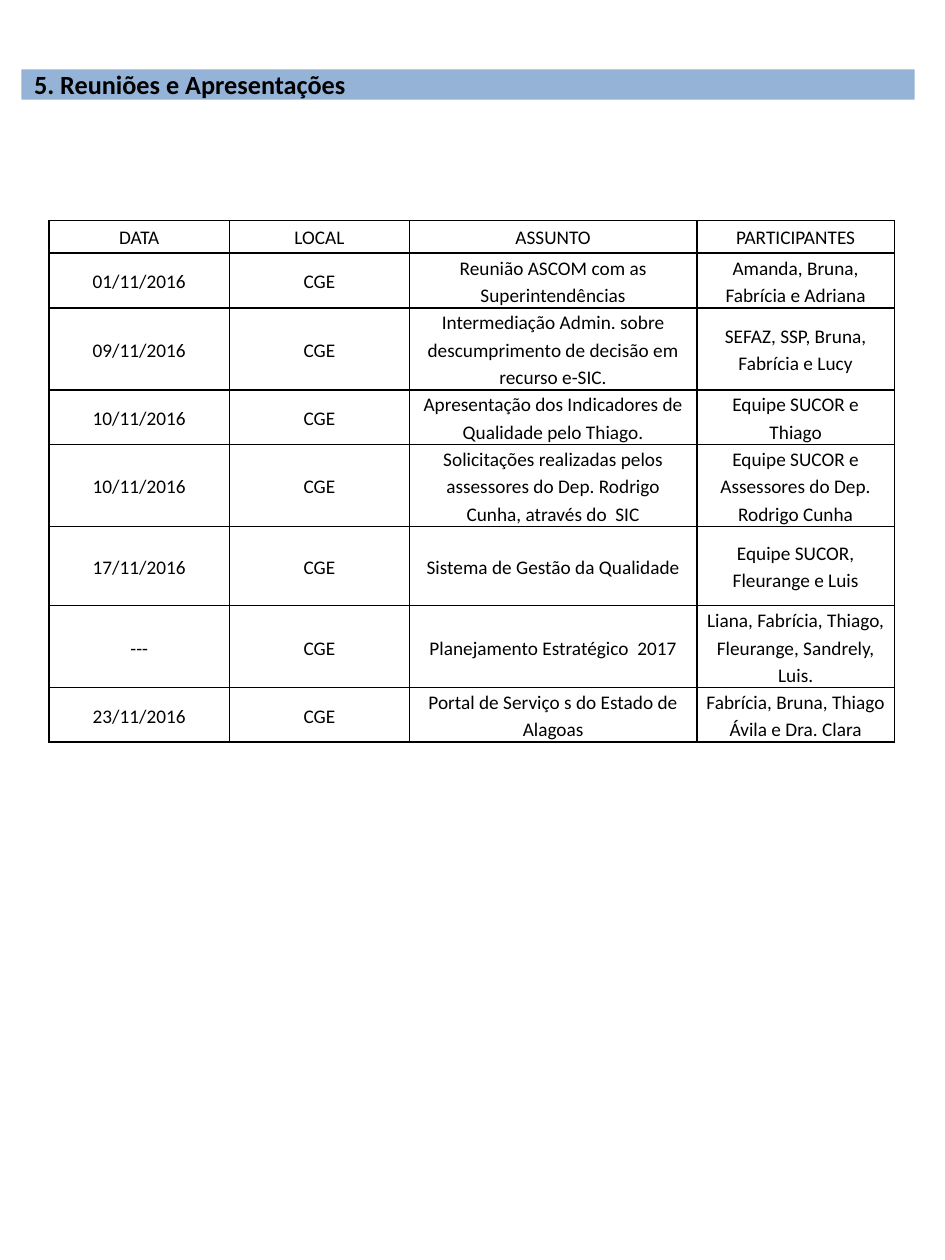
from typing import NamedTuple

import pptx
import pptx.dml.color
import pptx.enum.text
import pptx.oxml
import pptx.oxml.ns
import pptx.util
from pptx.util import Inches

FONT = "Calibri"
BLACK = "000000"
BAND_BLUE = "95B3D7"


class Meeting(NamedTuple):
    date: str
    place: str
    subject: str
    people: str
    height: float


class CellStyle(NamedTuple):
    side: float
    top: float
    line_spacing: float
    space_after: float


HEADER = CellStyle(0.04, 0.01, 1.07, 8)
BODY = CellStyle(0.07, 0, 1.15, 10)
COL_WIDTHS = [1.43, 1.43, 2.28, 1.57]

MEETINGS = [
    Meeting("DATA", "LOCAL", "ASSUNTO", "PARTICIPANTES", 0.26),
    Meeting("01/11/2016", "CGE", "Reunião ASCOM com as Superintendências",
            "Amanda, Bruna, Fabrícia e Adriana", 0.43),
    Meeting("09/11/2016", "CGE",
            "Intermediação Admin. sobre descumprimento de decisão em recurso e-SIC.",
            "SEFAZ, SSP, Bruna, Fabrícia e Lucy", 0.65),
    Meeting("10/11/2016", "CGE", "Apresentação dos Indicadores de Qualidade pelo Thiago.",
            "Equipe SUCOR e Thiago", 0.43),
    Meeting("10/11/2016", "CGE",
            "Solicitações realizadas pelos assessores do Dep. Rodrigo Cunha, através do  SIC",
            "Equipe SUCOR e Assessores do Dep. Rodrigo Cunha", 0.65),
    Meeting("17/11/2016", "CGE", "Sistema de Gestão da Qualidade",
            "Equipe SUCOR, Fleurange e Luis", 0.63),
    Meeting("---", "CGE", "Planejamento Estratégico  2017",
            "Liana, Fabrícia, Thiago, Fleurange, Sandrely, Luis.", 0.65),
    Meeting("23/11/2016", "CGE", "Portal de Serviço s do Estado de Alagoas",
            "Fabrícia, Bruna, Thiago Ávila e Dra. Clara", 0.43),
]


def rgb(color: str) -> pptx.dml.color.RGBColor:
    return pptx.dml.color.RGBColor.from_string(color)


def set_font(p, size: float, bold: bool = False) -> None:
    p.font.name = FONT
    p.font.size = pptx.util.Pt(size)
    p.font.bold = bold
    p.font.color.rgb = rgb(BLACK)


def add_borders(cell, color: str, points: float) -> None:
    tc_pr = cell._tc.get_or_add_tcPr()
    for side in "LRTB":
        tc_pr.append(pptx.oxml.parse_xml(
            f'<a:ln{side} {pptx.oxml.ns.nsdecls("a")} w="{pptx.util.Pt(points)}">'
            f'<a:solidFill><a:srgbClr val="{color}"/></a:solidFill></a:ln{side}>'))


def fill_cell(cell, text: str, style: CellStyle) -> None:
    add_borders(cell, BLACK, 1)
    cell.fill.background()
    cell.margin_left = cell.margin_right = Inches(style.side)
    cell.margin_top, cell.margin_bottom = Inches(style.top), 0
    cell.vertical_anchor = pptx.enum.text.MSO_ANCHOR.MIDDLE
    cell.text = text
    p = cell.text_frame.paragraphs[0]
    p.alignment = pptx.enum.text.PP_ALIGN.CENTER
    p.line_spacing = style.line_spacing
    p.space_after = pptx.util.Pt(style.space_after)
    set_font(p, 11)


def add_title(s, text: str) -> None:
    sp = s.shapes.title
    sp.left, sp.top = Inches(0.17), Inches(0.55)
    sp.width, sp.height = Inches(7.09), Inches(0.24)
    sp.fill.solid()
    sp.fill.fore_color.rgb = rgb(BAND_BLUE)
    tf = sp.text_frame
    tf.text = text
    tf.auto_size = pptx.enum.text.MSO_AUTO_SIZE.NONE
    tf.vertical_anchor = pptx.enum.text.MSO_ANCHOR.MIDDLE
    p = tf.paragraphs[0]
    p.alignment = pptx.enum.text.PP_ALIGN.LEFT
    set_font(p, 15, bold=True)


def add_meetings(s, meetings: list[Meeting]) -> None:
    table = s.shapes.add_table(
        len(meetings), len(COL_WIDTHS), Inches(0.39), Inches(1.75),
        Inches(sum(COL_WIDTHS)), Inches(sum(m.height for m in meetings))).table
    table.first_row = table.horz_banding = False
    for column, width in zip(table.columns, COL_WIDTHS):
        column.width = Inches(width)
    for i, (row, meeting) in enumerate(zip(table.rows, meetings)):
        row.height = Inches(meeting.height)
        for cell, text in zip(row.cells, meeting[:4]):
            fill_cell(cell, text, BODY if i else HEADER)


def main() -> None:
    prs = pptx.Presentation()
    prs.slide_width, prs.slide_height = Inches(7.5), Inches(10)
    s = prs.slides.add_slide(prs.slide_layouts[5])

    # Section heading band
    add_title(s, "5. Reuniões e Apresentações")

    # Meetings table
    add_meetings(s, MEETINGS)

    prs.save("out.pptx")


if __name__ == "__main__":
    main()
